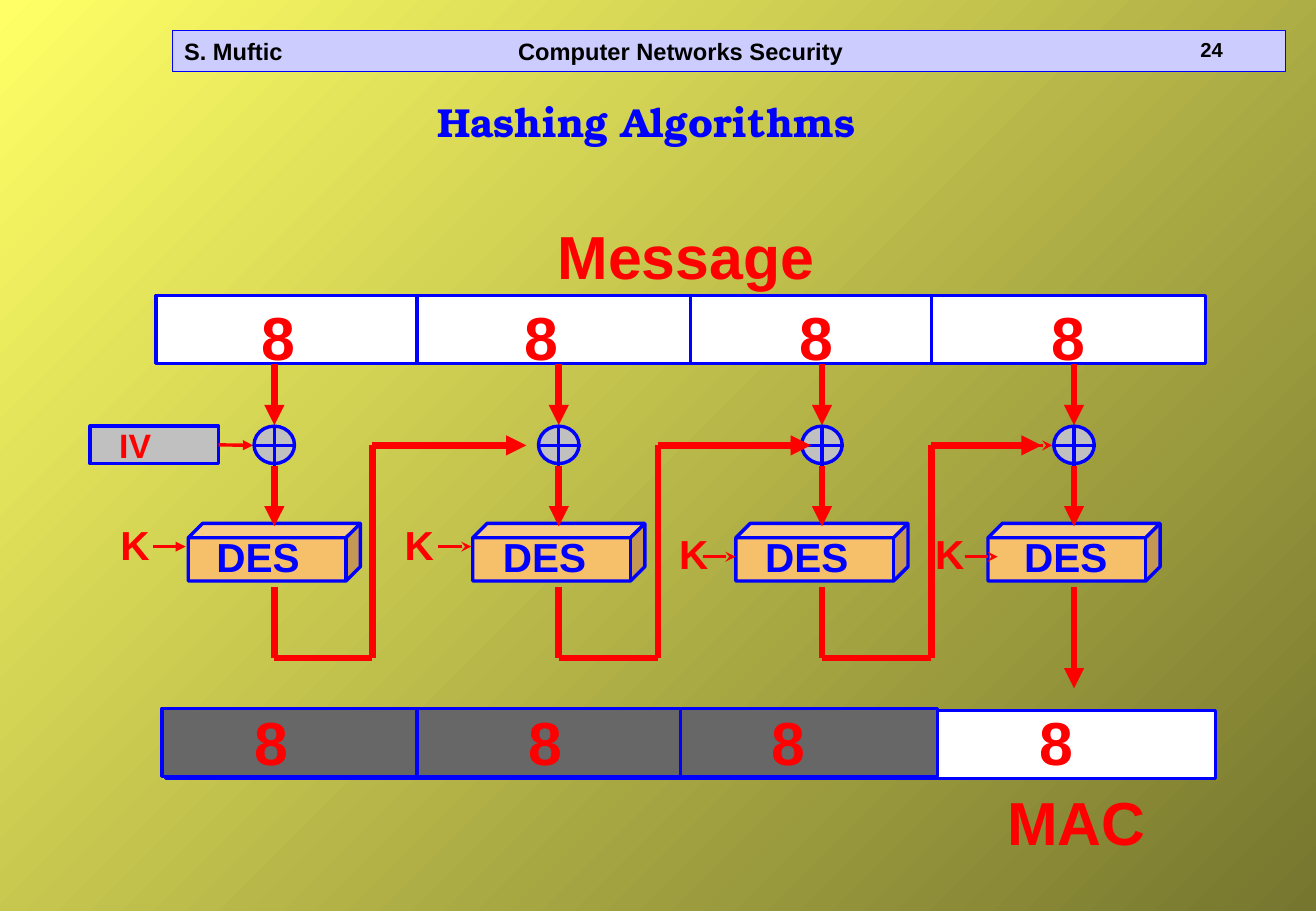
from lxml import etree
from pptx import Presentation
from pptx.dml.color import RGBColor
from pptx.enum.shapes import MSO_CONNECTOR, MSO_SHAPE
from pptx.enum.text import MSO_ANCHOR
from pptx.oxml.ns import qn
from pptx.util import Inches, Pt

RECTANGLE, ELLIPSE, CUBE = MSO_SHAPE.RECTANGLE, MSO_SHAPE.OVAL, MSO_SHAPE.CUBE
STRAIGHT = MSO_CONNECTOR.STRAIGHT
TOP, MIDDLE = MSO_ANCHOR.TOP, MSO_ANCHOR.MIDDLE
RIGHT_SIDE = 3
COLUMNS, ROWS = 130, 90

COLORS = {
    "blue": "0000FF", "red": "FF0000", "black": "000000", "white": "FFFFFF",
    "header": "CCCCFF", "silver": "C0C0C0", "gray": "676767",
    "orange": "F6BF69", "olive": "76762F", "yellow": "FFFF66",
}


def color(name):
    return RGBColor.from_string(COLORS[name])


class Diagram:
    """Draws on one slide; all lengths are columns and rows of its grid."""

    def __init__(self, deck):
        self.page = deck.slides.add_slide(deck.slide_layouts[6])
        self.column = deck.slide_width / COLUMNS
        self.row = deck.slide_height / ROWS

    def across(self, columns):
        return round(columns * self.column)

    def down(self, rows):
        return round(rows * self.row)

    def frame(self, left, top, width, height):
        return (self.across(left), self.down(top),
                self.across(width), self.down(height))

    def background(self, start, end, angle):
        fill = self.page.background.fill
        fill.gradient()
        fill.gradient_angle = angle
        for stop, name in zip(fill.gradient_stops, (start, end)):
            stop.color.rgb = color(name)

    def shape(self, kind, place, fill, weight=2):
        shape = self.page.shapes.add_shape(kind, *self.frame(*place))
        shape.shadow.inherit = False
        shape.fill.solid()
        shape.fill.fore_color.rgb = color(fill)
        shape.line.color.rgb = color("blue")
        shape.line.width = Pt(weight)
        return shape

    def text(self, words, place, size, ink="red", font="Arial", anchor=TOP,
             tab=None):
        box = self.page.shapes.add_textbox(*self.frame(*place))
        box.text_frame.word_wrap = True
        box.text_frame.vertical_anchor = anchor
        para = box.text_frame.paragraphs[0]
        para.text = words
        if tab:
            stops = etree.SubElement(para._p.get_or_add_pPr(), qn("a:tabLst"))
            etree.SubElement(stops, qn("a:tab"),
                             pos=str(self.across(tab)), algn="l")
        for span in para.runs:
            span.font.size = Pt(size)
            span.font.name = font
            span.font.bold = True
            span.font.color.rgb = color(ink)

    def line(self, start, end, ink="red", weight=4, head=None):
        line = self.page.shapes.add_connector(
            STRAIGHT, self.across(start[0]), self.down(start[1]),
            self.across(end[0]), self.down(end[1]))
        line.line.color.rgb = color(ink)
        line.line.width = Pt(weight)
        if head:
            etree.SubElement(line.line._get_or_add_ln(), qn("a:tailEnd"),
                             type=head)
        etree.SubElement(line._element.spPr, qn("a:effectLst"))
        return line

    def dividers(self, columns, top):
        for x in columns:
            self.line((x, top), (x, top + 7), "blue", 2)

    def block_sizes(self, columns, top):
        for x in columns:
            self.text("8", (x, top, 7.4, 8.4), 36)

    def exclusive_or(self, x):
        """Input arrow, crossed circle and output arrow of one stage."""
        self.line((x, 36), (x, 42), head="triangle")
        self.shape(ELLIPSE, (x - 2, 42.1, 4, 3.7), "silver")
        self.line((x, 42), (x, 46), "blue", 2)
        self.line((x - 2.15, 44), (x + 2.15, 44), "blue", 2)
        self.line((x, 46), (x, 52), head="triangle")

    def feedback(self, x, turn, tip):
        """Path that carries one stage's output into the next stage."""
        self.line((x, 65), (turn, 65))
        self.line((turn, 65), (turn, 44))
        self.line((turn, 44), (tip, 44), head="triangle")


def main():
    deck = Presentation()
    deck.slide_width, deck.slide_height = Inches(10.83), Inches(7.5)
    diagram = Diagram(deck)
    diagram.background("olive", "yellow", 135)

    diagram.shape(RECTANGLE, (17, 3, 110, 4), "header", 0.25)
    diagram.text("S. Muftic\tComputer Networks Security", (17, 3, 98, 4), 14,
                 "black", anchor=MIDDLE, tab=33)
    diagram.text("24", (117.4, 3.1, 8, 3.6), 12, "black")
    diagram.text("Hashing Algorithms", (42, 9, 47.6, 6), 24, "blue",
                 "TeX Gyre Bonum")
    diagram.text("Message", (53.9, 21, 30, 8.4), 36)
    diagram.text("MAC", (98.3, 76.9, 18, 8.4), 36)

    diagram.shape(RECTANGLE, (15.4, 29.2, 103.7, 6.7), "white")
    diagram.dividers((41.2, 68.2, 92), 29)
    diagram.block_sizes((24.7, 50.6, 77.8, 102.7), 29)

    vector = diagram.shape(RECTANGLE, (8.9, 42.1, 12.7, 3.7), "silver")
    diagram.text("IV", (10.6, 41.4, 7.2, 5), 20)
    vector_arrow = diagram.line((21.7, 44), (25, 44), weight=2,
                                head="triangle")
    vector_arrow.begin_connect(vector, RIGHT_SIDE)

    # Stage axis, key left and top, key arrow start, row and head, label left
    stages = (
        (27.1, 10.7, 50.8, 15.1, 54, "triangle", 20.2),
        (55.2, 38.8, 50.8, 43.3, 54, "stealth", 48.5),
        (81.2, 65.9, 51.7, 69.4, 55, "stealth", 74.4),
        (106.1, 91.2, 51.7, 95.3, 55, "stealth", 100),
    )
    for x, key, key_top, start, row, head, label in stages:
        diagram.shape(CUBE, (x - 8.5, 51.7, 17, 5.7), "orange")
        diagram.text("K", (key, key_top, 7, 6), 24)
        diagram.line((start, row), (start + 3.25, row), weight=2, head=head)
        diagram.exclusive_or(x)
        diagram.text("DES", (label, 52, 10.7, 6), 24, "blue")

    axes = [stage[0] for stage in stages]
    for x in axes[2:]:
        diagram.line((x - 5.4, 44), (x - 2.15, 44), weight=2, head="stealth")
    for x, turn, tip in zip(axes, (36.8, 65, 92), (52, 80.1, 102.9)):
        diagram.line((x, 58), (x, 65))
        diagram.feedback(x, turn, tip)
    diagram.line((axes[-1], 58), (axes[-1], 68), head="triangle")

    diagram.shape(RECTANGLE, (16.4, 70.2, 103.7, 6.7), "white")
    diagram.shape(RECTANGLE, (16, 70, 76.6, 6.7), "gray")
    diagram.dividers((41.2, 67.2), 70)
    diagram.block_sizes((24, 51, 75, 101.5), 69)

    deck.save("out.pptx")


if __name__ == "__main__":
    main()
